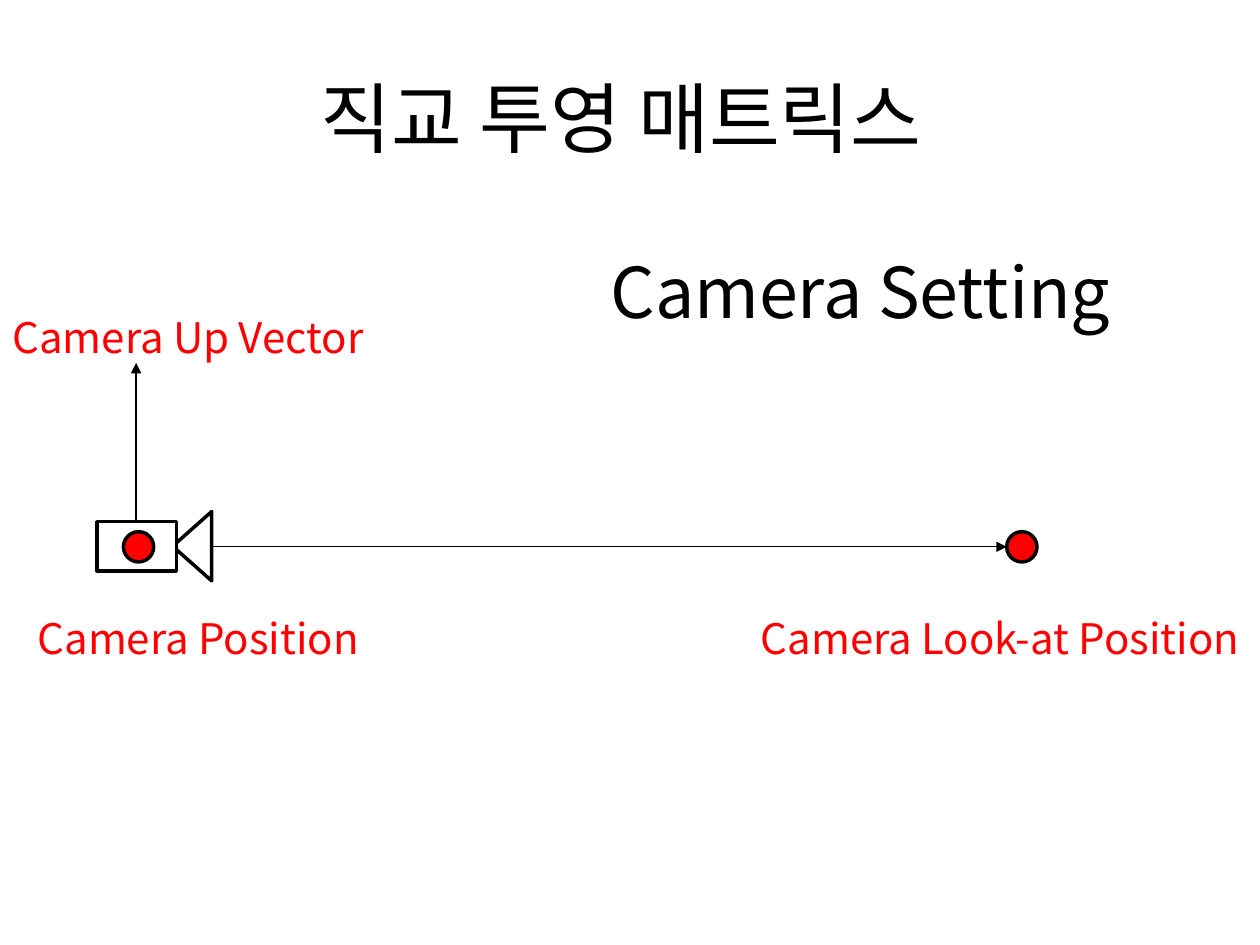
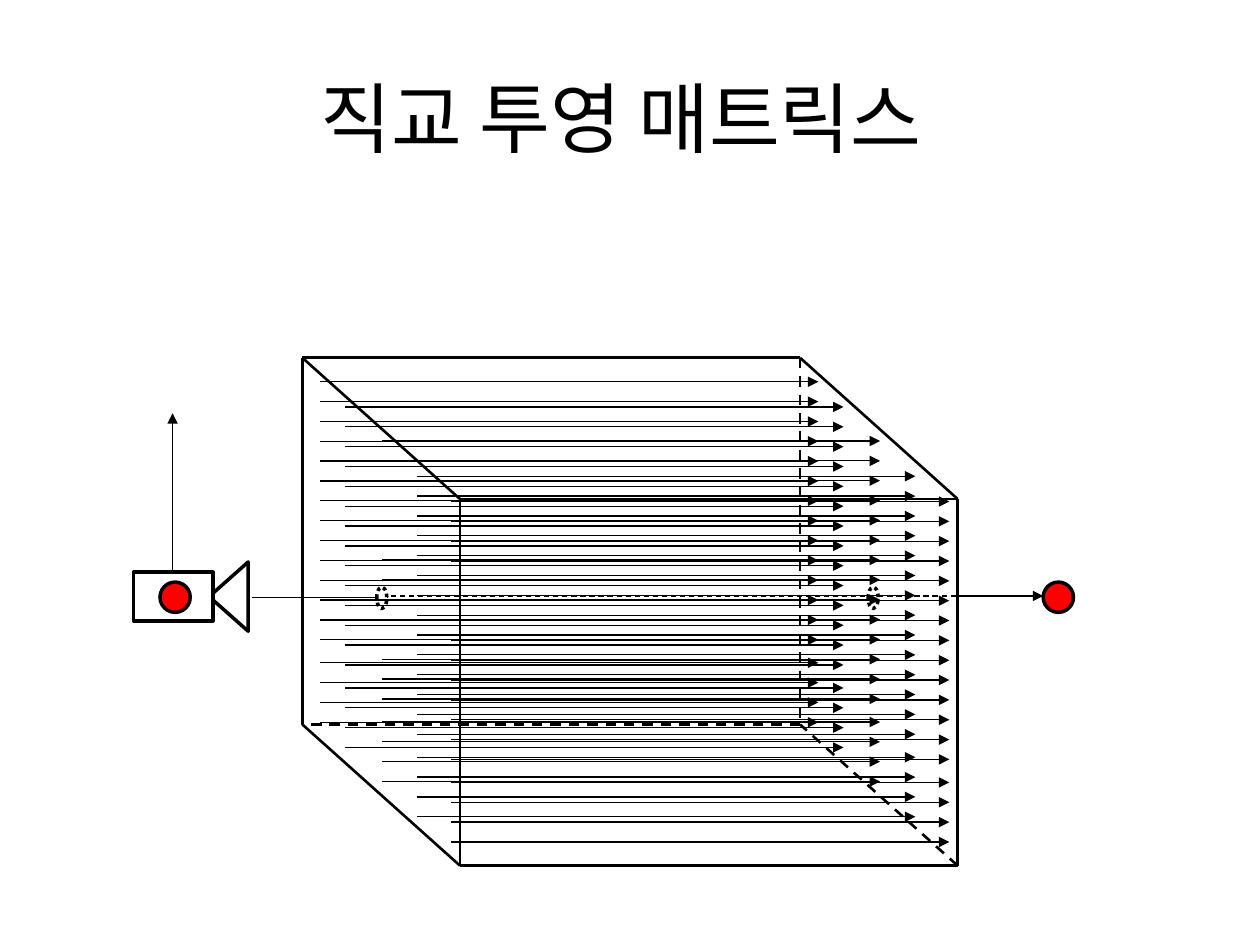
from lxml import etree
from pptx import Presentation
from pptx.dml.color import RGBColor
from pptx.enum.dml import MSO_LINE
from pptx.enum.shapes import MSO_CONNECTOR, MSO_SHAPE
from pptx.enum.text import MSO_ANCHOR, MSO_AUTO_SIZE, PP_ALIGN
from pptx.oxml.ns import qn
from pptx.util import Inches, Pt

STRAIGHT = MSO_CONNECTOR.STRAIGHT
TRIANGLE = MSO_SHAPE.ISOSCELES_TRIANGLE
RECTANGLE = MSO_SHAPE.RECTANGLE
OVAL = MSO_SHAPE.OVAL
DASH = MSO_LINE.DASH
DOTS = MSO_LINE.ROUND_DOT
LEFT = PP_ALIGN.LEFT
CENTER = PP_ALIGN.CENTER
MIDDLE = MSO_ANCHOR.MIDDLE
TOP = MSO_ANCHOR.TOP
GROW = MSO_AUTO_SIZE.SHAPE_TO_FIT_TEXT
FIXED = MSO_AUTO_SIZE.NONE

COLORS = {"ink": "000000", "paper": "FFFFFF", "accent": "FF0000"}
FONT = "Noto Sans CJK KR"
TITLE = "직교 투영 매트릭스 "

THIN, EDGE, OUTLINE = 0.75, 1.5, 2
TARGET_OFFSET = 7.22  # from the camera body to the look-at point
RAY_LENGTH = 3.955
RAY_STEP = 0.1575
RAYS_ABOVE_GAP, RAYS_BELOW_GAP = 14, 4
RAY_GAP = 0.025
RAY_SHEETS = [(2.54, 3.03), (2.74, 3.23), (3.03, 3.5), (3.31, 3.78), (3.58, 3.98)]


def color(name):
    """Return the named colour."""
    return RGBColor.from_string(COLORS[name])


def add_text(slide, box, text, size, color_name, align=LEFT, anchor=TOP, fit=GROW):
    """Place one line of text in a box of left, top, width, height."""
    shape = slide.shapes.add_textbox(*map(Inches, box))
    text_frame = shape.text_frame
    text_frame.word_wrap = True
    text_frame.auto_size = fit
    text_frame.vertical_anchor = anchor
    text_frame.text = text
    paragraph = text_frame.paragraphs[0]
    paragraph.alignment = align
    run = paragraph.runs[0]
    run.font.size = Pt(size)
    run.font.name = FONT
    run.font.color.rgb = color(color_name)
    east_asian = etree.SubElement(run.font._element, qn("a:ea"))
    east_asian.set("typeface", FONT)


def add_outlined(shapes, kind, box, fill, dash=None, rotation=0):
    """Place a filled shape with the common dark outline."""
    shape = shapes.add_shape(kind, *map(Inches, box))
    shape.shadow.inherit = False
    shape.fill.solid()
    shape.fill.fore_color.rgb = color(fill)
    shape.line.color.rgb = color("ink")
    shape.line.width = Pt(OUTLINE)
    if dash:
        shape.line.dash_style = dash
    shape.rotation = rotation


def add_line(shapes, start, end, width=THIN, dash=None, arrow=False):
    """Draw a straight line, with an arrowhead at its end if asked."""
    connector = shapes.add_connector(STRAIGHT, *map(Inches, start + end))
    connector.line.color.rgb = color("ink")
    connector.line.width = Pt(width)
    if dash:
        connector.line.dash_style = dash
    if arrow:
        head = etree.SubElement(connector.line._get_or_add_ln(), qn("a:tailEnd"))
        head.set("type", "triangle")
    etree.SubElement(connector._element.spPr, qn("a:effectLst"))


def add_titled_slide(presentation):
    """Add a blank slide with the shared title."""
    slide = presentation.slides.add_slide(presentation.slide_layouts[6])
    add_text(slide, (0.5, 0.3, 9, 1.25), TITLE, 44, "ink", CENTER, MIDDLE, FIXED)
    return slide


def add_camera(slide, left, top):
    """Draw camera, up vector and look-at point; return their group's shapes."""
    shapes = slide.shapes.add_group_shape().shapes
    add_outlined(shapes, TRIANGLE, (left + 0.48, top + 0.04, 0.55, 0.31), "paper",
                 rotation=270)
    add_outlined(shapes, RECTANGLE, (left, top, 0.63, 0.39), "paper")
    for offset in (0.21, TARGET_OFFSET):
        add_outlined(shapes, OVAL, (left + offset, top + 0.08, 0.24, 0.24), "accent")
    add_line(shapes, (left + 0.31, top), (left + 0.31, top - 1.26), arrow=True)
    return shapes


def add_view_volume(slide, left, top, width, height, depth_x, depth_y):
    """Draw a box in oblique view; the edges behind it are dashed."""
    shapes = slide.shapes.add_group_shape().shapes
    right, bottom = left + width, top + height
    for x, y in ((left, top), (left, bottom), (right, top), (right, bottom)):
        hidden = DASH if (x, y) == (right, bottom) else None
        add_line(shapes, (x + depth_x, y + depth_y), (x, y), EDGE, hidden)
    for shift_x, shift_y, hidden in ((0, 0, DASH), (depth_x, depth_y, None)):
        x1, x2 = left + shift_x, right + shift_x
        y1, y2 = top + shift_y, bottom + shift_y
        add_line(shapes, (x1, y1), (x1, y2), EDGE)
        add_line(shapes, (x2, y1), (x2, y2), EDGE, hidden)
        add_line(shapes, (x2, y1), (x1, y1), EDGE)
        add_line(shapes, (x2, y2), (x1, y2), EDGE, hidden)


def add_ray_sheet(slide, left, top):
    """Draw one sheet of parallel projection rays from its top left corner."""
    shapes = slide.shapes.add_group_shape().shapes
    for index in range(RAYS_ABOVE_GAP + RAYS_BELOW_GAP):
        y = top + index * RAY_STEP + (RAY_GAP if index >= RAYS_ABOVE_GAP else 0)
        add_line(shapes, (left, y), (left + RAY_LENGTH, y), arrow=True)


def build_camera_slide(presentation):
    """Slide naming the three camera settings."""
    slide = add_titled_slide(presentation)
    left, top = 0.77, 4.14
    shapes = add_camera(slide, left, top)
    axis = top + 0.2
    add_line(shapes, (left + 0.92, axis), (left + TARGET_OFFSET, axis), arrow=True)
    labels = [("Camera Position", 0.2, 4.81),
              ("Camera Look-at Position", 5.94, 4.81),
              ("Camera Up Vector", 0, 2.42)]
    for text, x, y in labels:
        add_text(slide, (x, y, 4.11, 0.5), text, 24, "accent")
    add_text(slide, (3.98, 1.92, 5.7, 0.77), "Camera Setting", 40, "ink", CENTER)


def build_projection_slide(presentation):
    """Slide with the view volume and its parallel rays."""
    slide = add_titled_slide(presentation)
    left, top = 1.06, 4.54
    axis = top + 0.19
    near, far, volume_right = 3.03, 6.93, 7.59
    shapes = add_camera(slide, left, top)
    add_line(shapes, (near, axis), (volume_right, axis), dash=DASH)
    add_view_volume(slide, 2.4, 2.84, 3.95, 2.91, 1.25, 1.12)
    add_line(slide.shapes, (2, axis + 0.01), (near + 0.05, axis + 0.01))
    add_line(slide.shapes, (volume_right, axis), (left + TARGET_OFFSET, axis), arrow=True)
    for x in (near, far):
        add_outlined(slide.shapes, OVAL, (x - 0.04, axis - 0.07, 0.08, 0.17), "paper", DOTS)
    for sheet_left, sheet_top in RAY_SHEETS:
        add_ray_sheet(slide, sheet_left, sheet_top)


def main():
    """Build and save the presentation."""
    presentation = Presentation()
    presentation.slide_width = Inches(10)
    presentation.slide_height = Inches(7.5)
    build_camera_slide(presentation)
    build_projection_slide(presentation)
    presentation.save("out.pptx")


main()
